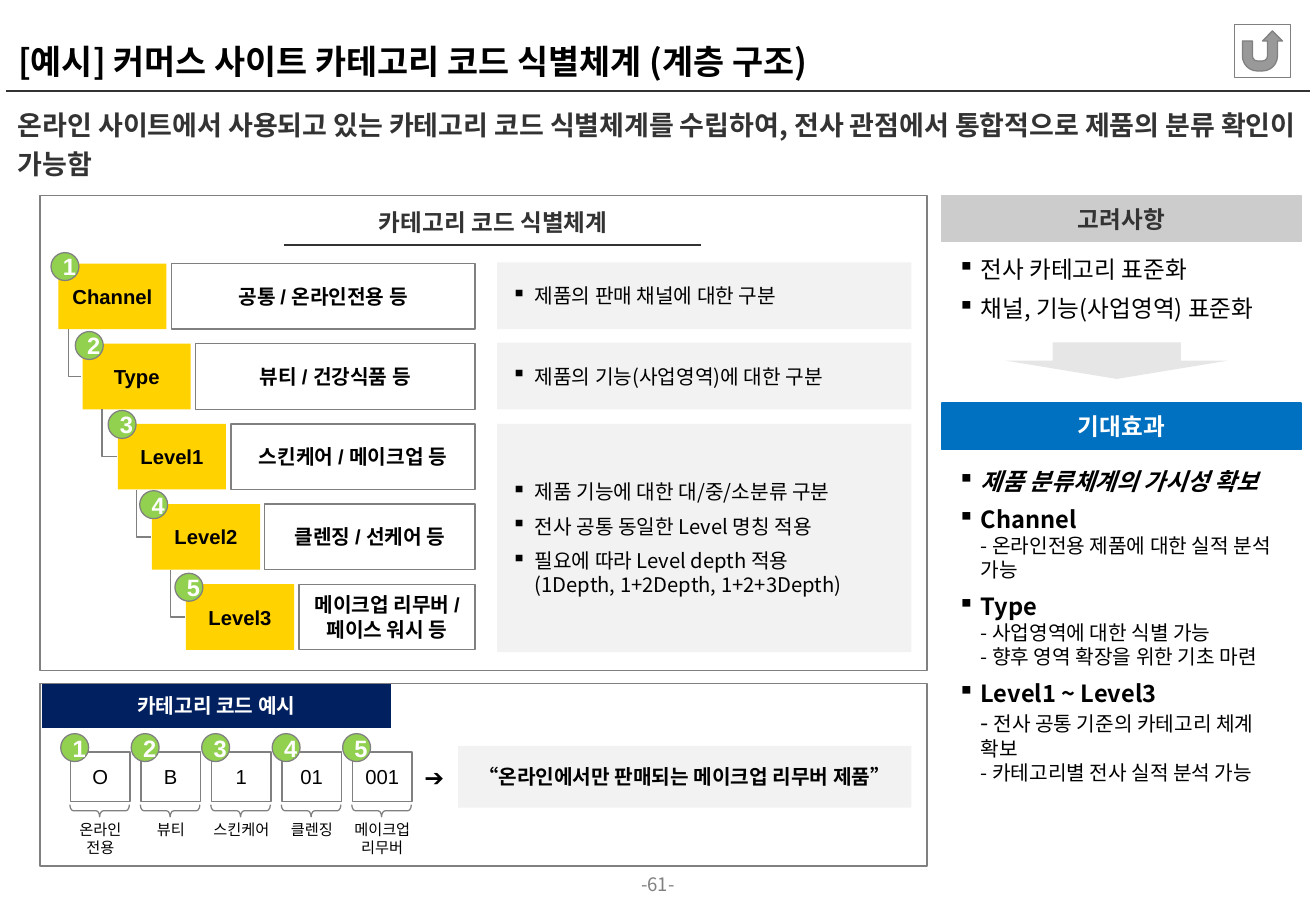
from dataclasses import dataclass
from lxml.etree import SubElement
from pptx import Presentation
from pptx.dml.color import RGBColor
from pptx.enum.shapes import MSO_CONNECTOR, MSO_SHAPE
from pptx.enum.text import MSO_ANCHOR, PP_ALIGN
from pptx.oxml.ns import qn
from pptx.util import Inches, Pt


@dataclass(frozen=True)
class Theme:
    """Colours, fonts and type sizes of the slide."""
    black: str = "000000"
    white: str = "FFFFFF"
    dark: str = "333333"
    grey: str = "808080"
    silver: str = "CCCCCC"
    mist: str = "E6E6E6"
    pale: str = "F2F2F2"
    navy: str = "002060"
    blue: str = "0070C0"
    gold: str = "FFD200"
    green: str = "92D050"
    sans: str = "Noto Sans CJK KR"
    arial: str = "Arial"
    serif: str = "Calibri"
    title: int = 20
    lead: int = 16
    head: int = 14
    body: int = 12
    foot: int = 11
    tiny: int = 9


class Board:
    """Draws themed elements on one slide."""

    def __init__(self, slide, theme):
        self.shapes = slide.shapes
        self.theme = theme

    def fill_text(self, frame, items, size=None, face=None, color=None, bold=False,
                  align=PP_ALIGN.CENTER, anchor=MSO_ANCHOR.MIDDLE, inset=(0.1, 0.05),
                  gap=0, after=None, mark=None, lines=None):
        frame.word_wrap = True
        frame.vertical_anchor = anchor
        frame.margin_left = frame.margin_right = Inches(inset[0])
        frame.margin_top = frame.margin_bottom = Inches(inset[1])
        for i, item in enumerate(items):
            para = frame.paragraphs[0] if i == 0 else frame.add_paragraph()
            para.alignment = align
            para.space_before = Pt(gap if i else 0)
            para.space_after = Pt(gap if after is None else after)
            if lines:
                para.line_spacing = lines
            props = para._p.get_or_add_pPr()
            if mark:
                props.set("marL", str(Inches(0.19)))
                props.set("indent", str(-Inches(0.19)))
                SubElement(props, qn("a:buChar")).set("char", mark)
            font = para.font
            font.size = Pt(size or self.theme.body)
            font.bold = bold
            font.color.rgb = RGBColor.from_string(color or self.theme.black)
            font.name = face or self.theme.sans
            SubElement(props.find(qn("a:defRPr")), qn("a:ea")).set("typeface", self.theme.sans)
            if isinstance(item, str):
                para.text = item
                continue
            for text, points, heavy in item:
                if text.startswith("\n"):
                    para.add_line_break()
                run = para.add_run()
                run.text = text.lstrip("\n")
                run.font.size = Pt(points)
                run.font.bold = heavy

    def text(self, place, *items, **style):
        box = self.shapes.add_textbox(*map(Inches, place))
        self.fill_text(box.text_frame, items, **style)
        return box.text_frame

    def shape(self, place, *items, kind=MSO_SHAPE.RECTANGLE, fill=None, edge=None,
              width=0.75, turn=0, bend=(), **style):
        form = self.shapes.add_shape(kind, *map(Inches, place))
        form.shadow.inherit = False
        form.rotation = turn
        for i, value in enumerate(bend):
            form.adjustments[i] = value
        if fill:
            form.fill.solid()
            form.fill.fore_color.rgb = RGBColor.from_string(fill)
        else:
            form.fill.background()
        if edge:
            form.line.color.rgb = RGBColor.from_string(edge)
            form.line.width = Pt(width)
        else:
            form.line.fill.background()
        if items:
            self.fill_text(form.text_frame, items, **style)

    def badge(self, left, top, number):
        self.shape((left, top, 0.23, 0.23), str(number), kind=MSO_SHAPE.OVAL,
                   fill=self.theme.green, edge=self.theme.grey, size=self.theme.head,
                   face=self.theme.arial, color=self.theme.white, bold=True)

    def note(self, place, *items, **style):
        self.shape(place, *items, fill=self.theme.pale, inset=(0.12, 0.12), gap=3, **style)

    def line(self, ends, color, width, kind=MSO_CONNECTOR.STRAIGHT):
        link = self.shapes.add_connector(kind, *map(Inches, ends))
        link.line.color.rgb = RGBColor.from_string(color)
        link.line.width = Pt(width)
        SubElement(link.element.spPr, qn("a:effectLst"))
        return link

    def elbow(self, left, top, wide, tall):
        x, y = left + wide / 2, top + tall / 2
        ends = x + tall / 2, y - wide / 2, x - tall / 2, y + wide / 2
        props = self.line(ends, self.theme.grey, 0.75, MSO_CONNECTOR.ELBOW).element.spPr
        props.find(qn("a:xfrm")).set("rot", str(270 * 60000))
        props.find(qn("a:prstGeom")).set("prst", "bentConnector2")


def draw_top(board, look):
    board.text((4.99, 7.19, 0.85, 0.22), "-61-", size=look.foot, color=look.grey,
               inset=(0, 0), anchor=MSO_ANCHOR.TOP)
    board.line((0.05, 0.75, 10.78, 0.75), look.dark, 1)
    board.text((0.05, 0.05, 10.72, 0.67), "[예시] 커머스 사이트 카테고리 코드 식별체계 (계층 구조)",
               size=look.title, bold=True, align=PP_ALIGN.LEFT, anchor=MSO_ANCHOR.BOTTOM, lines=0.85)
    board.text((0.05, 0.79, 10.73, 0.71),
               "온라인 사이트에서 사용되고 있는 카테고리 코드 식별체계를 수립하여, 전사 관점에서 통합적으로 제품의 분류 확인이 가능함",
               size=look.lead, color=look.dark, bold=True, align=PP_ALIGN.LEFT,
               anchor=MSO_ANCHOR.TOP, after=9, lines=1.2)
    board.shape((10.16, 0.2, 0.46, 0.44), kind=MSO_SHAPE.ACTION_BUTTON_RETURN,
                fill=look.white, edge=look.grey)


def draw_tree(board, look):
    board.shape((0.33, 1.61, 7.3, 3.91), edge=look.grey)
    board.line((2.34, 2.02, 5.77, 2.02), look.dark, 1)
    board.text((2.57, 1.66, 2.98, 0.34), "카테고리 코드 식별체계", size=look.head, face=look.serif,
               color=look.dark, bold=True, anchor=MSO_ANCHOR.TOP, inset=(0.05, 0.05))
    rows = [
        ("Channel", "공통 / 온라인전용 등", 0.48, 0.42, 2.08),
        ("Type", "뷰티 / 건강식품 등", 0.68, 0.62, 2.73),
        ("Level1", "스킨케어 / 메이크업 등", 0.97, 0.89, 3.38),
        ("Level2", "클렌징 / 선케어 등", 1.25, 1.15, 4.04),
        ("Level3", "메이크업 리무버 / 페이스 워시 등", 1.53, 1.44, 4.72),
    ]
    style = dict(face=look.arial, bold=True)
    for i, (name, sample, left, x, y) in enumerate(rows):
        top = 2.17 + 0.66 * i
        if i:
            start = 0.28 * (i + 1)
            board.elbow(start, top - 0.12, left - 0.01 - start, 0.39)
        board.shape((left, top, 0.89, 0.54), name, fill=look.gold, **style)
        board.shape((left + 0.93, top, 2.98 - left, 0.54), sample, edge=look.grey, **style)
        board.badge(x, y, i + 1)
    notes = [
        (2.16, 0.55, ["제품의 판매 채널에 대한 구분"]),
        (2.82, 0.55, ["제품의 기능(사업영역)에 대한 구분"]),
        (3.49, 1.88, ["제품 기능에 대한 대/중/소분류 구분", "전사 공통 동일한 Level 명칭 적용",
                      "필요에 따라 Level depth 적용\n(1Depth, 1+2Depth, 1+2+3Depth)"]),
    ]
    for top, tall, items in notes:
        board.note((4.09, top, 3.41, tall), *items, align=PP_ALIGN.LEFT, mark="▪")


def draw_code(board, look):
    board.shape((0.34, 5.62, 2.88, 0.38), "카테고리 코드 예시", fill=look.navy, edge=look.white,
                face=look.arial, color=look.white, bold=True)
    board.shape((0.33, 5.63, 7.3, 1.5), edge=look.grey)
    codes = [("O", "온라인\n전용"), ("B", "뷰티"), ("1", "스킨케어"),
             ("01", "클렌징"), ("001", "메이크업\n리무버")]
    for i, (code, label) in enumerate(codes):
        left = 0.58 + 0.58 * i
        board.shape((left, 6.19, 0.49, 0.41), code, fill=look.white, edge=look.grey,
                    face=look.arial, inset=(0.05, 0.05))
        board.badge(left - 0.08, 6.04, i + 1)
        board.shape((left + 0.19, 6.43, 0.1, 0.49), kind=MSO_SHAPE.RIGHT_BRACE,
                    edge=look.grey, turn=90, bend=(0.29, 0.5))
        board.text((left - 0.05, 6.75, 0.59, 0.15), label, size=look.tiny,
                   anchor=MSO_ANCHOR.TOP, inset=(0, 0))
    board.text((3.42, 6.14, 0.31, 0.51), "➔", size=look.head, bold=True, inset=(0.04, 0.12))
    board.note((3.77, 6.14, 3.73, 0.51), "“온라인에서만 판매되는 메이크업 리무버 제품”", bold=True)


def draw_side(board, look):
    heads = [(1.61, "고려사항", look.silver, look.dark), (3.32, "기대효과", look.blue, look.white)]
    for top, name, fill, color in heads:
        board.shape((7.75, top, 2.96, 0.38), name, fill=fill, edge=fill, width=1,
                    size=look.head, color=color, bold=True, inset=(0.08, 0))
    style = dict(align=PP_ALIGN.LEFT, anchor=MSO_ANCHOR.TOP, inset=(0.08, 0.04),
                 gap=3, mark="▪", size=look.head)
    board.text((7.8, 2.06, 2.78, 0.66), "전사 카테고리 표준화", "채널, 기능(사업영역) 표준화", **style)
    big, small = look.head, look.body
    gains = board.text(
        (7.8, 3.8, 2.78, 3.34), "제품 분류체계의 가시성 확보",
        [("Channel", big, True), ("\n- 온라인전용 제품에 대한 실적 분석 가능", small, False)],
        [("Type", big, True), ("\n- 사업영역에 대한 식별 가능", small, False),
         ("\n- 향후 영역 확장을 위한 기초 마련", small, False)],
        [("Level1 ~ Level3", big, True), ("\n-", big, False),
         (" 전사 공통 기준의 카테고리 체계 확보", small, False),
         ("\n- 카테고리별 전사 실적 분석 가능", small, False)], **style)
    first = gains.paragraphs[0].font
    first.bold = first.italic = True
    board.shape((8.28, 2.82, 1.82, 0.3), kind=MSO_SHAPE.DOWN_ARROW, fill=look.mist, bend=(0.58, 0.5))


def main():
    deck = Presentation()
    deck.slide_width, deck.slide_height = Inches(10.83), Inches(7.5)
    look = Theme()
    board = Board(deck.slides.add_slide(deck.slide_layouts[6]), look)
    for draw in (draw_top, draw_tree, draw_code, draw_side):
        draw(board, look)
    deck.save("out.pptx")


if __name__ == "__main__":
    main()
